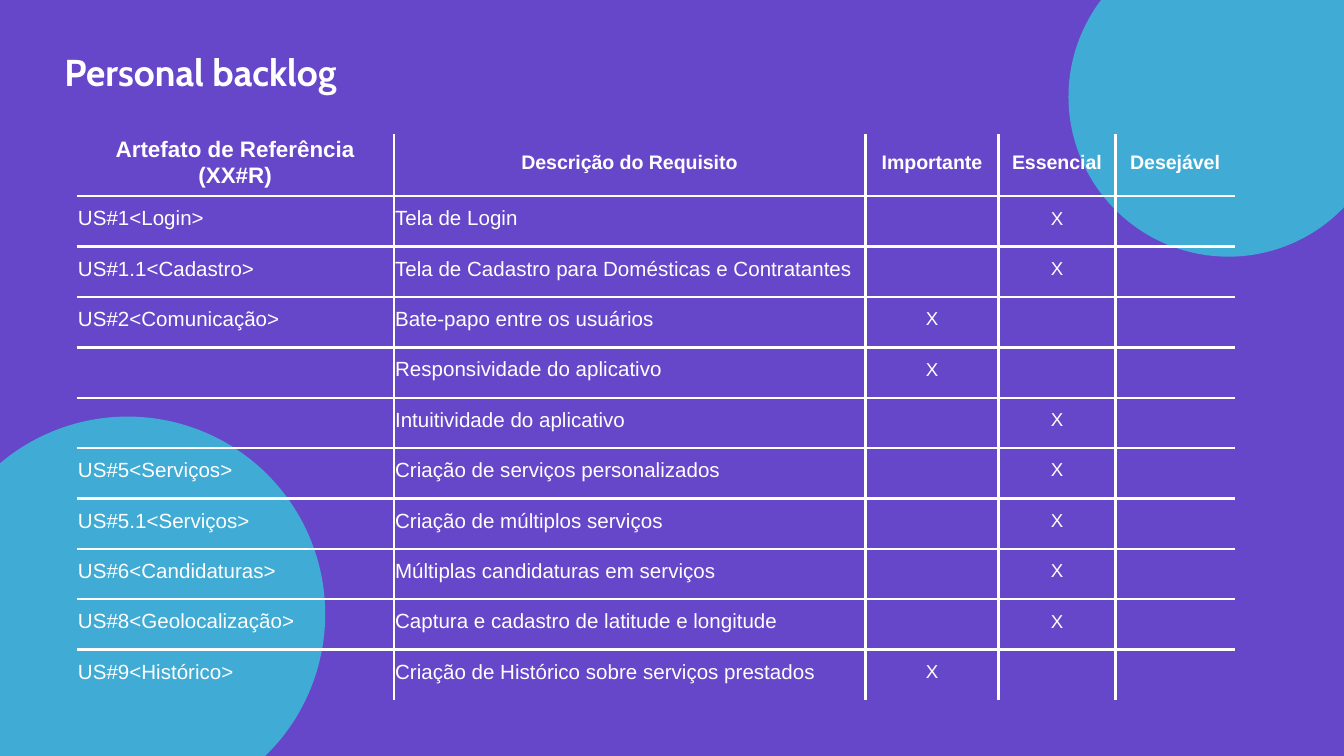
import pptx
import pptx.util
import pptx.dml.color
import pptx.enum.shapes
import pptx.enum.text
import pptx.oxml.ns
import lxml.etree

Inches, Pt = pptx.util.Inches, pptx.util.Pt
RGB = pptx.dml.color.RGBColor.from_string
ALIGN = pptx.enum.text.PP_ALIGN
MIDDLE = pptx.enum.text.MSO_ANCHOR.MIDDLE
qn = pptx.oxml.ns.qn

THEME = {
    "background": "6747C9", "circle": "25F5DF", "circle_alpha": 58, "white": "FFFFFF",
    "title_font": "Cabin", "table_font": "Arial", "border": 1.5,
    "title": 20, "first_header": 12, "header": 10.5, "body": 11, "mark": 10,
}

TITLE = "Personal backlog"
CIRCLES = [(-0.52, 3.1, 2.94), (7.95, -0.47, 2.38)]  # left, top, diameter
HEADERS = ["Artefato de Referência (XX#R)", "Descrição do Requisito",
           "Importante", "Essencial", "Desejável"]
REQUIREMENTS = [  # reference, description, priority
    ("US#1<Login>", "Tela de Login", "Essencial"),
    ("US#1.1<Cadastro>", "Tela de Cadastro para Domésticas e Contratantes", "Essencial"),
    ("US#2<Comunicação>", "Bate-papo entre os usuários", "Importante"),
    ("", "Responsividade do aplicativo", "Importante"),
    ("", "Intuitividade do aplicativo", "Essencial"),
    ("US#5<Serviços>", "Criação de serviços personalizados", "Essencial"),
    ("US#5.1<Serviços>", "Criação de múltiplos serviços", "Essencial"),
    ("US#6<Candidaturas>", "Múltiplas candidaturas em serviços", "Essencial"),
    ("US#8<Geolocalização>", "Captura e cadastro de latitude e longitude", "Essencial"),
    ("US#9<Histórico>", "Criação de Histórico sobre serviços prestados", "Importante"),
]
TABLE_LEFT, TABLE_TOP, TABLE_HEIGHT, HEADER_HEIGHT = 0.57, 1, 4.21, 0.46
COLUMN_WIDTHS = [2.36, 3.51, 0.99, 0.87, 0.89]


def format_text(p, font, size, bold):
    for r in p.runs:
        r.font.name, r.font.size, r.font.bold = font, Pt(size), bold
        r.font.color.rgb = RGB(THEME["white"])


def add_circle(s, left, top, diameter):
    sp = s.shapes.add_shape(pptx.enum.shapes.MSO_SHAPE.OVAL, Inches(left), Inches(top),
                            Inches(diameter), Inches(diameter))
    sp.shadow.inherit = False
    sp.line.fill.background()
    sp.fill.solid()
    sp.fill.fore_color.rgb = RGB(THEME["circle"])
    color = sp.element.spPr.find(".//" + qn("a:srgbClr"))
    lxml.etree.SubElement(color, qn("a:alpha"), val=str(THEME["circle_alpha"] * 1000))


def add_title(s):
    tf = s.shapes.add_textbox(Inches(0.38), Inches(0.12), Inches(5.21), Inches(0.82)).text_frame
    tf.word_wrap = True
    tf.vertical_anchor = MIDDLE
    tf.margin_left = tf.margin_right = tf.margin_top = tf.margin_bottom = Inches(0.1)
    tf.text = TITLE
    format_text(tf.paragraphs[0], THEME["title_font"], THEME["title"], True)


def set_borders(cell, visible):
    """Draw the sides in visible (from L, R, T, B) and hide the others."""
    tcPr = cell._tc.get_or_add_tcPr()
    for i, side in enumerate("LRTB"):
        ln = lxml.etree.Element(qn("a:ln" + side), w=str(Pt(THEME["border"])))
        if side in visible:
            fill = lxml.etree.SubElement(ln, qn("a:solidFill"))
            lxml.etree.SubElement(fill, qn("a:srgbClr"), val=THEME["white"])
        else:
            lxml.etree.SubElement(ln, qn("a:noFill"))
        tcPr.insert(i, ln)


def text_size(row, col):
    if row == 0:
        return THEME["first_header" if col == 0 else "header"]
    return THEME["body" if col < 2 else "mark"]


def add_backlog(s):
    rows = [HEADERS] + [[ref, text] + ["X" if h == priority else "" for h in HEADERS[2:]]
                        for ref, text, priority in REQUIREMENTS]
    last_row, last_col = len(rows) - 1, len(HEADERS) - 1
    table = s.shapes.add_table(len(rows), len(HEADERS), Inches(TABLE_LEFT), Inches(TABLE_TOP),
                               Inches(sum(COLUMN_WIDTHS)), Inches(TABLE_HEIGHT)).table
    table.first_row = table.horz_banding = False
    for column, width in zip(table.columns, COLUMN_WIDTHS):
        column.width = Inches(width)
    body_height = (TABLE_HEIGHT - HEADER_HEIGHT) / last_row
    for i, values in enumerate(rows):
        table.rows[i].height = Inches(body_height if i else HEADER_HEIGHT)
        for j, value in enumerate(values):
            cell = table.cell(i, j)
            cell.fill.background()
            cell.vertical_anchor = MIDDLE
            cell.margin_left = cell.margin_right = cell.margin_top = Inches(0.01)
            cell.margin_bottom = Inches(0.05)
            inner = {"L": j > 0, "R": j < last_col, "T": i > 0, "B": i < last_row}
            set_borders(cell, [side for side, shown in inner.items() if shown])
            if value:
                cell.text_frame.text = value
                p = cell.text_frame.paragraphs[0]
                p.alignment = ALIGN.CENTER if i == 0 or j > 1 else ALIGN.LEFT
                format_text(p, THEME["table_font"], text_size(i, j), i == 0)


def main():
    prs = pptx.Presentation()
    prs.slide_width = Inches(10)
    prs.slide_height = prs.slide_width * 9 // 16
    s = prs.slides.add_slide(prs.slide_layouts[6])
    s.background.fill.solid()
    s.background.fill.fore_color.rgb = RGB(THEME["background"])
    for circle in CIRCLES:
        add_circle(s, *circle)
    add_title(s)
    add_backlog(s)
    prs.save("out.pptx")


if __name__ == "__main__":
    main()
